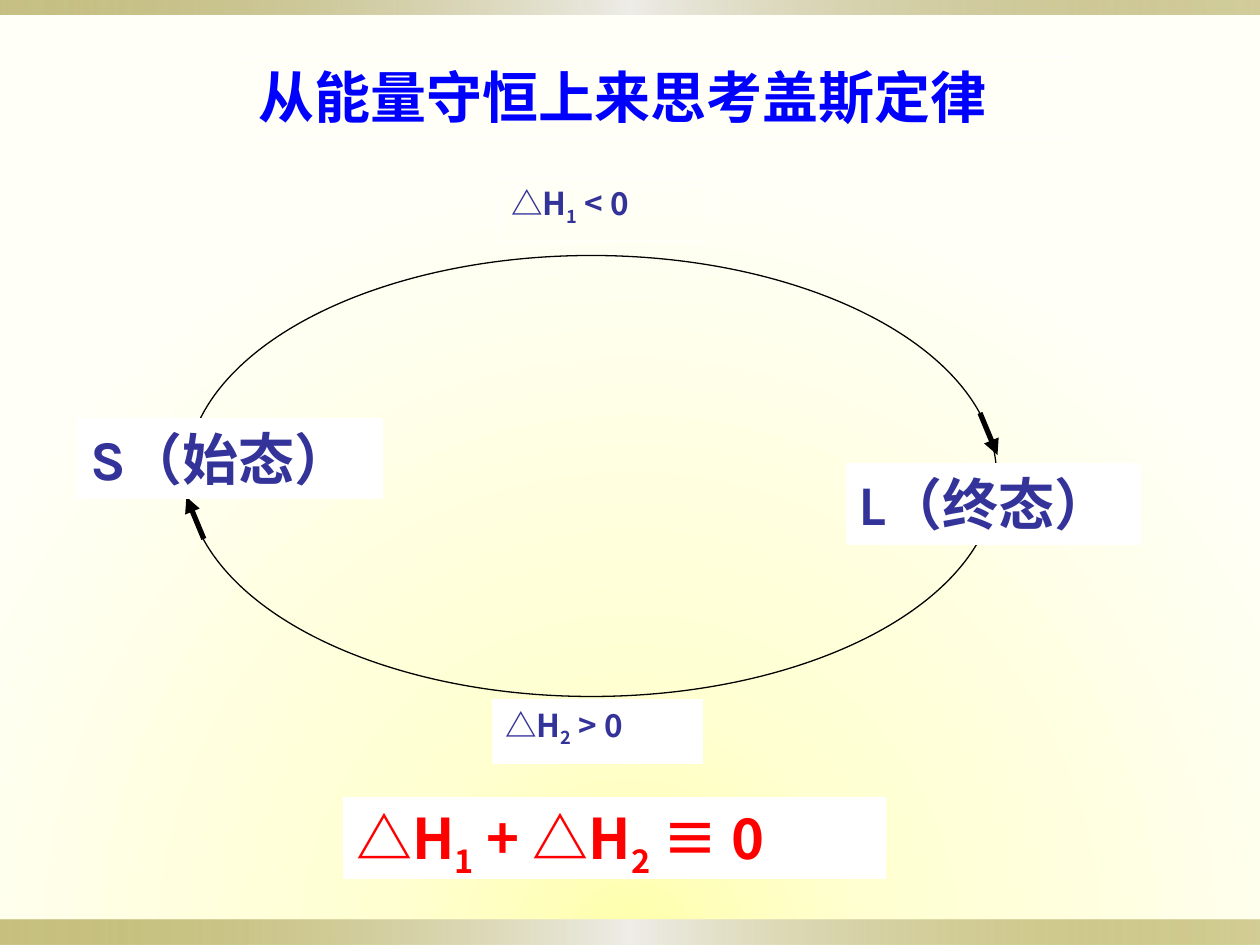
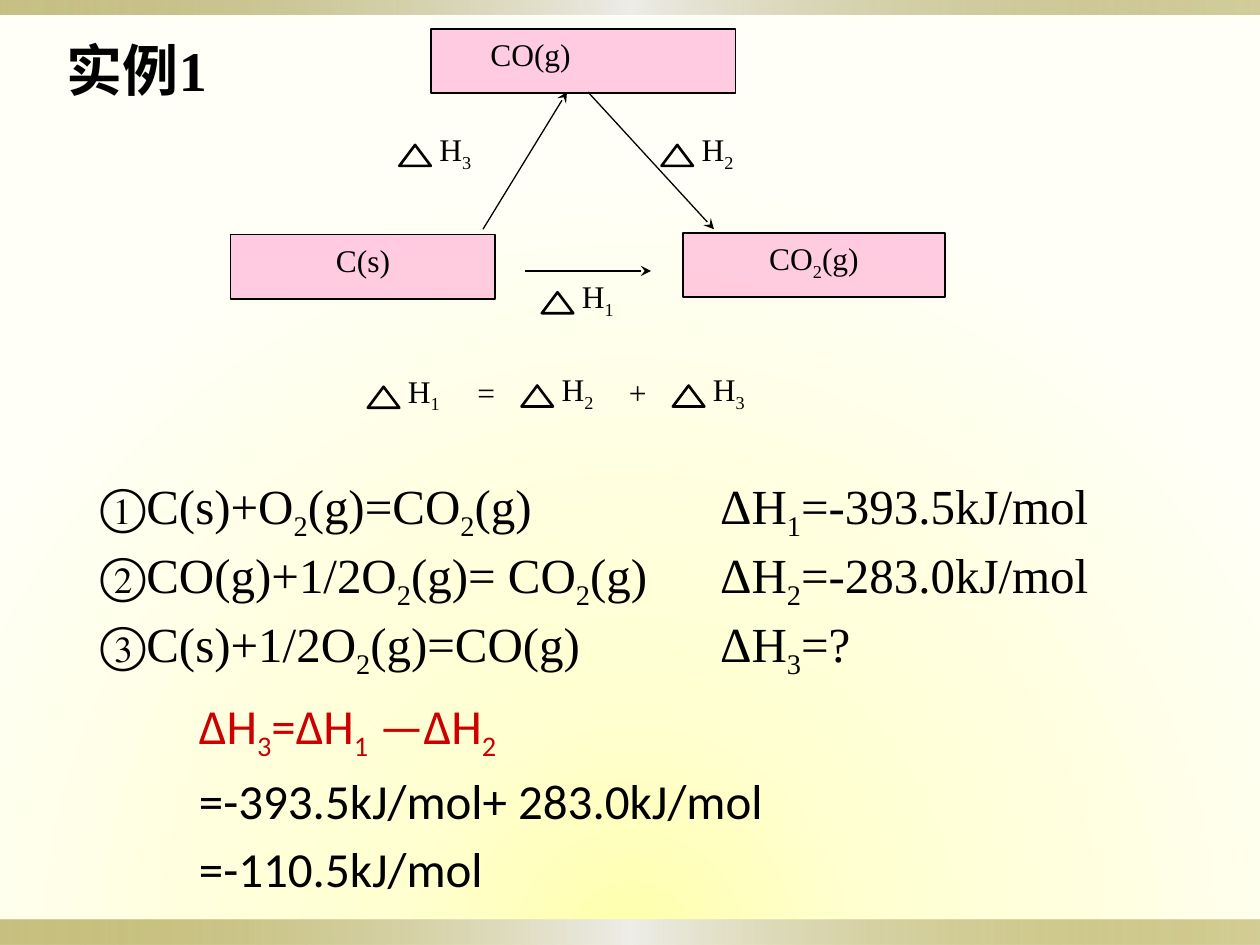
"""Builds two slides on Hess's law: the energy cycle and a worked example."""
import pptx
import pptx.dml.color
import pptx.enum.shapes
import pptx.enum.text
import pptx.oxml
import pptx.oxml.ns
import pptx.util
from lxml import etree

Pt = pptx.util.Pt
qn = pptx.oxml.ns.qn
SHAPES = pptx.enum.shapes.MSO_SHAPE
CENTER = pptx.enum.text.PP_ALIGN.CENTER

BLACK, WHITE, INDIGO = "000000", "FFFFFF", "333399"
BLUE, RED, DARK_RED, PINK = "0000FF", "FF0000", "CC0000", "FF99CC"
SANS, SERIF, STATE_FONT, BODY_FONT = "Noto Sans CJK SC", "Times New Roman", "Karla", "Calibri"

PAGE_STOPS = [(0, "FFFFAC", 100), (31, "FFFFD2", 100), (100, "FFFFF7", 100)]
PAGE_PATH = '<a:path path="circle"><a:fillToRect l="50000" t="150000" r="50000"/></a:path>'
BAND_STOPS = [(0, "918415", 50), (50, "EEEDE8", 100), (100, "918415", 40)]
BAND_PATH = '<a:lin ang="0" scaled="1"/>'


def color(hex_string):
    """Return the colour for a hex string."""
    return pptx.dml.color.RGBColor.from_string(hex_string)


def apply_gradient(fill, properties, stops, path):
    """Give the fill held in properties a gradient of (position, colour, opacity) stops."""
    fill.solid()
    stop_list = "".join(
        f'<a:gs pos="{position * 1000}"><a:srgbClr val="{hex_string}">'
        f'<a:alpha val="{opacity * 1000}"/></a:srgbClr></a:gs>'
        for position, hex_string, opacity in stops)
    gradient = pptx.oxml.parse_xml(
        f'<a:gradFill {pptx.oxml.ns.nsdecls("a")} rotWithShape="1">'
        f"<a:gsLst>{stop_list}</a:gsLst>{path}</a:gradFill>")
    properties.replace(properties.find(qn("a:solidFill")), gradient)


def add_shape(slide, kind, box, fill=None, line=None, width=0.75, opacity=100):
    """Add a preset shape without shadow at box (left, top, width, height)."""
    shape = slide.shapes.add_shape(kind, *map(Pt, box))
    shape.shadow.inherit = False
    if fill:
        shape.fill.solid()
        shape.fill.fore_color.rgb = color(fill)
        if opacity < 100:
            fill_color = shape._element.spPr.find(qn("a:solidFill"))[0]
            etree.SubElement(fill_color, qn("a:alpha"), val=str(opacity * 1000))
    else:
        shape.fill.background()
    if line:
        shape.line.color.rgb = color(line)
        shape.line.width = Pt(width)
    else:
        shape.line.fill.background()
    return shape


def add_arrow(slide, start, end, width, head):
    """Add a black line with an arrowhead at its end."""
    arrow = slide.shapes.add_connector(
        pptx.enum.shapes.MSO_CONNECTOR.STRAIGHT, *map(Pt, start + end))
    arrow.line.color.rgb = color(BLACK)
    arrow.line.width = Pt(width)
    etree.SubElement(arrow.line._get_or_add_ln(), qn("a:tailEnd"), type=head)
    etree.SubElement(arrow._element.spPr, qn("a:effectLst"))


def write(shape, lines, font, size, text_color, bold=False, align=None,
          tab=None, space=0, line_spacing=None, wrap=True):
    """Write lines into a shape; parts between ~ marks become subscripts."""
    frame = shape.text_frame
    frame.word_wrap = wrap
    frame.vertical_anchor = pptx.enum.text.MSO_ANCHOR.TOP
    for index, line in enumerate(lines):
        paragraph = frame.paragraphs[0] if index == 0 else frame.add_paragraph()
        paragraph.alignment = align or pptx.enum.text.PP_ALIGN.LEFT
        if line_spacing:
            paragraph.line_spacing = line_spacing
        if index and space:
            paragraph.space_before = Pt(space)
        properties = paragraph._p.get_or_add_pPr()
        if tab:
            tab_list = etree.SubElement(properties, qn("a:tabLst"))
            etree.SubElement(tab_list, qn("a:tab"), pos=str(Pt(tab)), algn="l")
        paragraph.font.name = font
        paragraph.font.size = Pt(size)
        paragraph.font.bold = bold
        paragraph.font.color.rgb = color(text_color)
        etree.SubElement(properties.find(qn("a:defRPr")), qn("a:ea"), typeface=SANS)
        for part_index, part in enumerate(line.split("~")):
            if part:
                run = paragraph.add_run()
                run.text = part
                if part_index % 2:
                    run._r.get_or_add_rPr().set("baseline", "-25000")


def add_text(slide, box, lines, font, size, text_color=BLACK, **style):
    """Add a text box and return it."""
    text_box = slide.shapes.add_textbox(*map(Pt, box))
    write(text_box, lines, font, size, text_color, **style)
    return text_box


def add_label(slide, box, text, font, size, text_color, fill=None):
    """Add a white-edged box with one bold line of text."""
    label = add_shape(slide, SHAPES.RECTANGLE, box, fill, WHITE)
    write(label, [text], font, size, text_color, bold=True)


def add_substance(slide, box, formula, align=CENTER, inset=7.2):
    """Add a pink box that names a substance."""
    substance = add_shape(slide, SHAPES.RECTANGLE, box, PINK, BLACK, 1, opacity=50)
    substance.text_frame.margin_left = Pt(inset)
    write(substance, [formula], SERIF, 18, BLACK, align=align)


def add_enthalpy(slide, left, top, number):
    """Add a drawn triangle followed by H with a subscript number."""
    add_shape(slide, SHAPES.ISOSCELES_TRIANGLE, (left, top, 18, 12), line=BLACK, width=1.5)
    add_text(slide, (left + 15.8, top - 12.2, 40, 36), [f"H~{number}~"], SERIF, 18, wrap=False)


def add_page(presentation):
    """Add a blank slide with the shared background and edge bands."""
    slide = presentation.slides.add_slide(presentation.slide_layouts[6])
    fill = slide.background.fill
    fill.solid()
    background = slide._element.find(".//" + qn("p:bgPr"))
    apply_gradient(fill, background, PAGE_STOPS, PAGE_PATH)
    for top, height in ((525.6, 14.4), (0, 8.6)):
        band = add_shape(slide, SHAPES.RECTANGLE, (0, top, 720, height))
        apply_gradient(band.fill, band._element.spPr, BAND_STOPS, BAND_PATH)
    return slide


def build_cycle(slide):
    """Draw the energy cycle between the initial and final states."""
    add_label(slide, (281.5, 399.6, 120, 36.7), "△H~2~ > 0", SANS, 18, INDIGO, WHITE)
    add_label(slide, (285, 101.5, 120, 36.7), "△H~1~ < 0", SANS, 18, INDIGO)
    add_shape(slide, SHAPES.OVAL, (106.5, 146, 463, 252), line=BLACK)
    add_arrow(slide, (560, 236), (570, 260), 3, "triangle")
    add_arrow(slide, (116.5, 308), (106.5, 284), 3, "triangle")
    add_label(slide, (44.6, 239, 174.2, 46), "S（始态）", STATE_FONT, 32, INDIGO, WHITE)
    add_label(slide, (483.8, 265, 167.8, 46), "L（终态）", STATE_FONT, 32, INDIGO, WHITE)
    add_label(slide, (140.4, 32.4, 472, 46), "从能量守恒上来思考盖斯定律", SANS, 32, BLUE)
    add_label(slide, (196.6, 455.8, 309.6, 46), "△H~1~ + △H~2~ ≡ 0", SANS, 32, RED, WHITE)


def build_example(slide):
    """Draw the reaction triangle and the calculation below it."""
    add_substance(slide, (246.2, 16.6, 174.2, 36.7), "CO(g)",
                  pptx.enum.text.PP_ALIGN.LEFT, 34)
    add_substance(slide, (131.8, 134, 151.2, 36.7), "C(s)")
    add_substance(slide, (390.2, 133.2, 149.8, 36.7), "CO~2~(g)")
    for start, end in (((276, 131), (324, 52.6)),
                       ((300, 154.8), (372, 154.8)),
                       ((336, 52.6), (408, 131))):
        add_arrow(slide, start, end, 0.75, "stealth")
    for left, top, number in ((228.2, 82.8, 3), (309.6, 167, 1), (378, 82.8, 2),
                              (298, 220.3, 2), (210.2, 221, 1), (384.5, 220.3, 3)):
        add_enthalpy(slide, left, top, number)
    add_text(slide, (265.7, 209.5, 185.8, 28.8), ["=\t+"], SERIF, 18, tab=86.5)
    add_text(slide, (31, 16.6, 164, 45.4), ["实例1"], SERIF, 32, bold=True)
    add_text(slide, (50.4, 268.6, 624, 136), [
        "①C(s)+O~2~(g)=CO~2~(g)\tΔH~1~=-393.5kJ/mol",
        "②CO(g)+1/2O~2~(g)= CO~2~(g)\tΔH~2~=-283.0kJ/mol",
        "③C(s)+1/2O~2~(g)=CO(g)\tΔH~3~=?",
    ], SERIF, 28, tab=354, space=5, line_spacing=0.9)
    calculation = add_text(slide, (106.6, 393.8, 461, 114), [
        "ΔH~3~=ΔH~1~ —ΔH~2~",
        "=-393.5kJ/mol+ 283.0kJ/mol",
        "=-110.5kJ/mol",
    ], BODY_FONT, 28, space=5)
    calculation.text_frame.paragraphs[0].font.color.rgb = color(DARK_RED)


def main():
    """Build and save the presentation."""
    presentation = pptx.Presentation()
    presentation.slide_width = Pt(720)
    presentation.slide_height = Pt(540)
    build_cycle(add_page(presentation))
    build_example(add_page(presentation))
    presentation.save("out.pptx")


if __name__ == "__main__":
    main()
